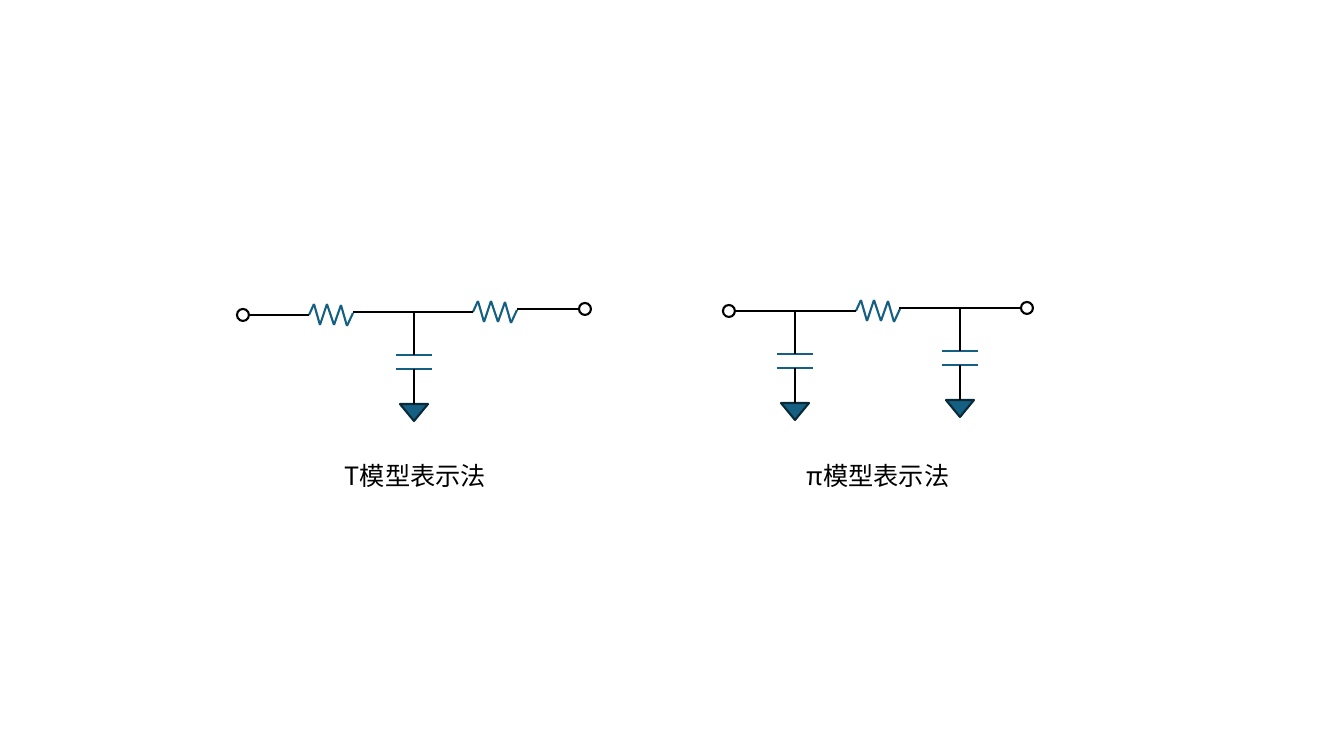
"""Draw the T model and the π model of an RC line."""
from itertools import pairwise

from lxml.etree import SubElement
from pptx import Presentation
from pptx.dml.color import RGBColor
from pptx.enum.shapes import MSO_CONNECTOR as CONNECTOR, MSO_SHAPE as SHAPE
from pptx.enum.text import MSO_AUTO_SIZE as AUTO_SIZE
from pptx.oxml.ns import qn
from pptx.util import Pt

PX = 914400 / 100.8
FONT = "Noto Sans CJK SC"
BLACK, TEAL, DARK_TEAL = "000000", "156082", "092A39"
ZIGZAG = [(0, 0), (5, -11), (11, 10), (18, -11), (25, 10), (32, -10), (38, 11), (44, -2)]


def px(length):
    """Turn pixels into EMU."""
    return round(length * PX)


def set_color(color_format, hex_color):
    """Give a colour format its hex colour."""
    color_format.rgb = RGBColor.from_string(hex_color)


def set_line(line, hex_color):
    """Style an outline with the common stroke width."""
    line.width = Pt(1.5)
    set_color(line.color, hex_color)


def add_wire(shapes, start, end, hex_color=BLACK):
    """Draw a straight line between two points."""
    wire = shapes.add_connector(CONNECTOR.STRAIGHT, *map(px, (*start, *end)))
    set_line(wire.line, hex_color)
    SubElement(wire._element.spPr, qn("a:effectLst"))


def add_node(shapes, preset, box, outline, fill=None):
    """Draw a preset shape, hollow unless a fill is given."""
    node = shapes.add_shape(preset, *map(px, box))
    node.shadow.inherit = False
    set_line(node.line, outline)
    if fill:
        node.fill.solid()
        set_color(node.fill.fore_color, fill)
    else:
        node.fill.background()
    return node


def add_terminal(shapes, x, y):
    """Draw an open terminal centred on a point."""
    add_node(shapes, SHAPE.OVAL, (x - 6, y - 6, 12, 12), BLACK)


def add_resistor(shapes, x, y):
    """Draw a grouped zigzag starting at a point."""
    resistor = shapes.add_group_shape()
    corners = [(x + dx, y + dy) for dx, dy in ZIGZAG]
    for start, end in pairwise(corners):
        add_wire(resistor.shapes, start, end, TEAL)


def add_grounded_capacitor(shapes, x, y):
    """Draw a capacitor hanging from a point down to ground."""
    upper, lower, ground = y + 43, y + 57, y + 92
    for plate in (upper, lower):
        add_wire(shapes, (x - 18, plate), (x + 18, plate), TEAL)
    symbol = add_node(shapes, SHAPE.ISOSCELES_TRIANGLE, (x - 14, ground, 28, 17), DARK_TEAL, TEAL)
    symbol.rotation = 180
    add_wire(shapes, (x, ground), (x, lower))
    add_wire(shapes, (x, upper), (x, y))


def add_caption(shapes, x, y, width, text):
    """Write the name of a model."""
    frame = shapes.add_textbox(*map(px, (x, y, width, 40))).text_frame
    frame.word_wrap = True
    frame.auto_size = AUTO_SIZE.SHAPE_TO_FIT_TEXT
    frame.text = text
    run = frame.paragraphs[0].runs[0]
    run.font.size = Pt(18)
    run.font.name = FONT
    set_color(run.font.color, BLACK)
    SubElement(run._r.get_or_add_rPr(), qn("a:ea"), typeface=FONT)


def add_model(shapes, terminals, wires, resistors, capacitors):
    """Draw one circuit from its parts."""
    for x, y in resistors:
        add_resistor(shapes, x, y)
    for x, y in capacitors:
        add_grounded_capacitor(shapes, x, y)
    for left, right, y in wires:
        add_wire(shapes, (left, y), (right, y))
    for x, y in terminals:
        add_terminal(shapes, x, y)


def main():
    """Build and save the slide."""
    deck = Presentation()
    deck.slide_width, deck.slide_height = px(1344), px(756)
    shapes = deck.slides.add_slide(deck.slide_layouts[6]).shapes
    add_model(
        shapes,
        terminals=[(243, 315), (585, 309)],
        wires=[(248, 309, 315), (353, 414, 312), (414, 473, 312), (517, 578, 309)],
        resistors=[(309, 315), (473, 312)],
        capacitors=[(414, 312)],
    )
    add_model(
        shapes,
        terminals=[(729, 311), (1027, 308)],
        wires=[(734, 795, 311), (795, 856, 311), (899, 960, 308), (960, 1020, 308)],
        resistors=[(856, 311)],
        capacitors=[(795, 311), (960, 308)],
    )
    add_caption(shapes, 335, 455, 161, "T模型表示法")
    add_caption(shapes, 797, 455, 163, "π模型表示法")
    deck.save("out.pptx")


if __name__ == "__main__":
    main()
